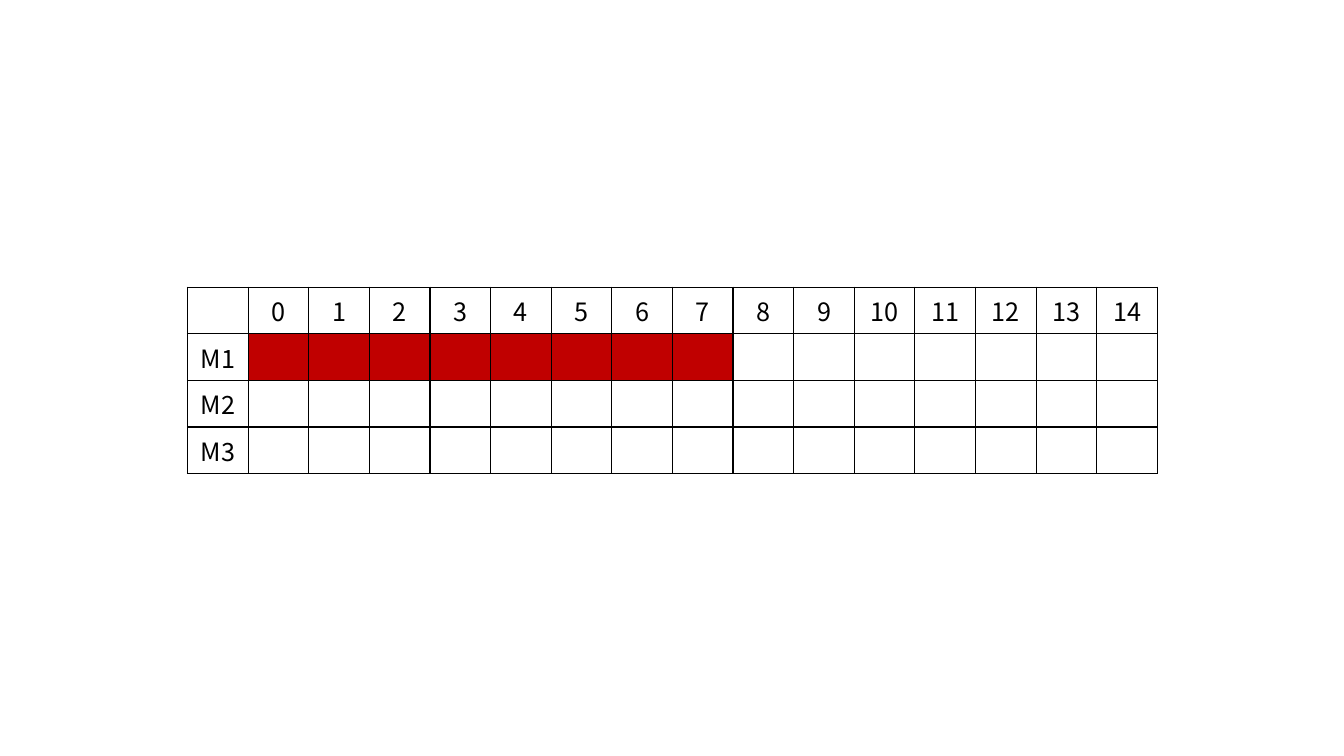
"""Build a machine schedule grid with three machines and fifteen time slots."""
from dataclasses import dataclass

from lxml.etree import SubElement
from pptx import Presentation
from pptx.dml.color import RGBColor
from pptx.enum.text import PP_ALIGN
from pptx.oxml.ns import qn
from pptx.util import Inches, Pt


@dataclass(frozen=True)
class Theme:
    font: str = "Noto Sans CJK KR"
    size: int = 18
    ink: str = "000000"
    free: str = "FFFFFF"
    busy: str = "C00000"
    border: int = 1


def add_borders(cell):
    properties = cell._tc.get_or_add_tcPr()
    for side in ("a:lnL", "a:lnR", "a:lnT", "a:lnB"):
        line = SubElement(properties, qn(side), w=str(Pt(theme.border)))
        fill = SubElement(line, qn("a:solidFill"))
        SubElement(fill, qn("a:srgbClr"), val=theme.ink)


theme = Theme()
machines = ["M1", "M2", "M3"]
slots = range(15)
busy_slots = {"M1": range(8)}

prs = Presentation()
prs.slide_width = Inches(13.33)
prs.slide_height = Inches(7.5)
slide = prs.slides.add_slide(prs.slide_layouts[6])

header = ["", *(str(slot) for slot in slots)]
rows = [header] + [[machine] + [""] * len(slots) for machine in machines]
schedule = slide.shapes.add_table(
    len(rows), len(header), Inches(1.86), Inches(2.85), Inches(9.62), Inches(1.62)
).table
schedule.first_row = False
schedule.horz_banding = False

for row_index, row in enumerate(rows):
    for column_index, label in enumerate(row):
        cell = schedule.cell(row_index, column_index)
        add_borders(cell)
        busy = column_index - 1 in busy_slots.get(row[0], ())
        cell.fill.solid()
        cell.fill.fore_color.rgb = RGBColor.from_string(theme.busy if busy else theme.free)
        cell.text = label
        paragraph = cell.text_frame.paragraphs[0]
        paragraph.alignment = PP_ALIGN.CENTER
        paragraph.font.name = theme.font
        paragraph.font.size = Pt(theme.size)
        paragraph.font.color.rgb = RGBColor.from_string(theme.ink)

prs.save("out.pptx")
